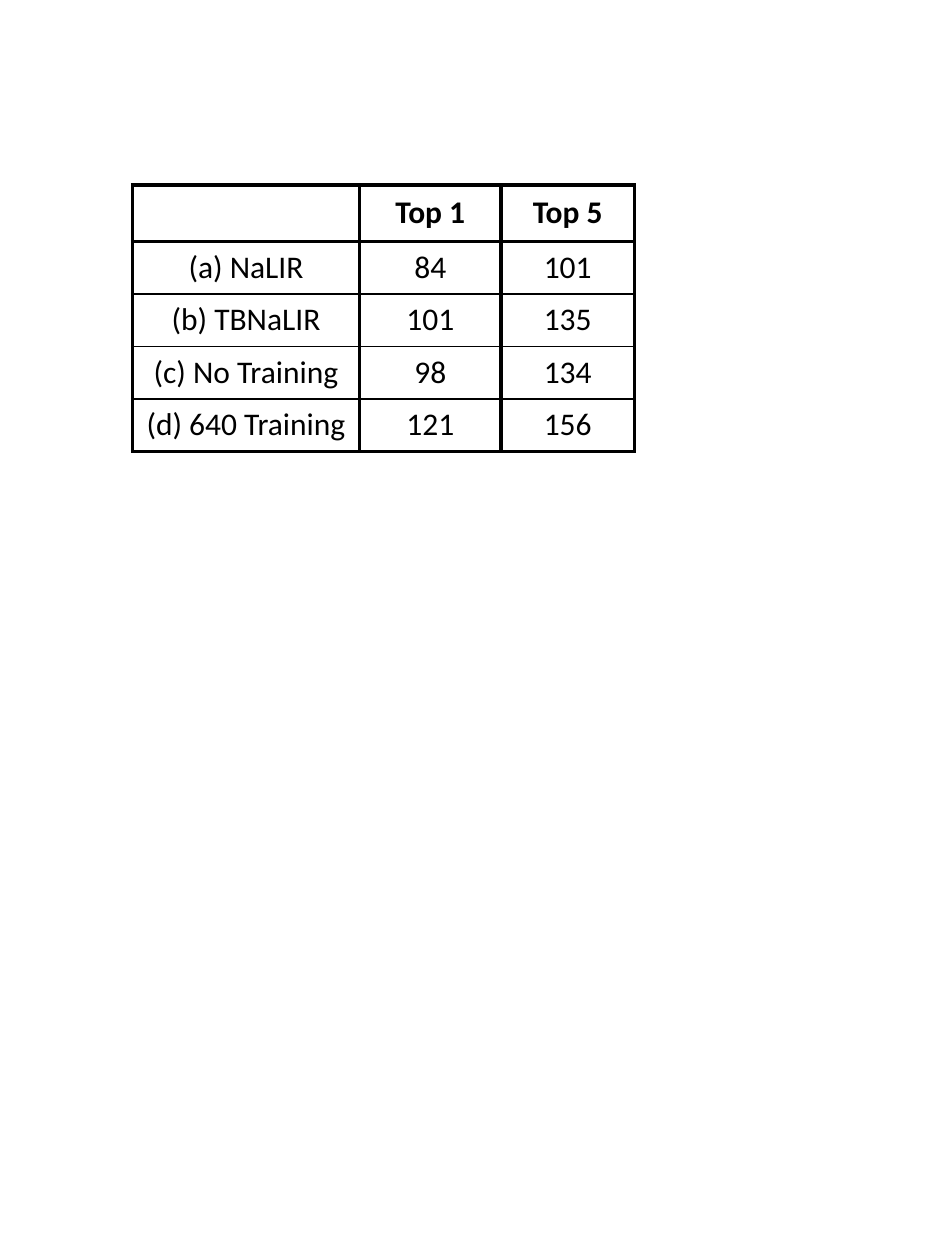
"""Build a slide with a table of results for four system settings."""
import pptx
import pptx.util
import pptx.dml.color
import pptx.enum.text
import pptx.oxml
from lxml import etree

Cm, Pt = pptx.util.Cm, pptx.util.Pt
COLORS = {"ink": "000000", "paper": "FFFFFF"}
THICK, THIN = 2.25, 1


def rgb(name):
    return pptx.dml.color.RGBColor.from_string(COLORS[name])


def write(tf, text, size=18, font="Calibri", color="ink", bold=False, spacing=0.9):
    p = tf.paragraphs[0]
    p.alignment = pptx.enum.text.PP_ALIGN.CENTER
    p.line_spacing = spacing
    p.font.size = Pt(size)
    if text:
        r = p.add_run()
        r.text = text
        r.font.name, r.font.size, r.font.bold = font, Pt(size), bold
        r.font.color.rgb = rgb(color)


class Deck:
    def __init__(self, width, height):
        self.prs = pptx.Presentation()
        self.prs.slide_width, self.prs.slide_height = Cm(width), Cm(height)
        self.s = self.prs.slides.add_slide(self.prs.slide_layouts[6])
        self.margin = Cm(0.18)

    def border(self, cell, side, width):
        tcPr = cell._tc.get_or_add_tcPr()
        ln = etree.SubElement(tcPr, pptx.oxml.ns.qn("a:ln" + side), w=str(Pt(width)))
        fill = etree.SubElement(ln, pptx.oxml.ns.qn("a:solidFill"))
        etree.SubElement(fill, pptx.oxml.ns.qn("a:srgbClr"), val=COLORS["ink"])

    def table(self, left, top, widths, heights, rows):
        sp = self.s.shapes.add_table(len(rows), len(widths), Cm(left), Cm(top),
                                     Cm(sum(widths)), Cm(sum(heights)))
        tbl = sp.table
        tbl.first_row = tbl.horz_banding = False
        for col, width in zip(tbl.columns, widths):
            col.width = Cm(width)
        for i, (row, height, texts) in enumerate(zip(tbl.rows, heights, rows)):
            row.height = Cm(height)
            above = THICK if i < 2 else THIN
            below = THICK if i in (0, len(rows) - 1) else THIN
            for cell, text in zip(row.cells, texts):
                cell.margin_left = cell.margin_right = self.margin
                cell.margin_top = cell.margin_bottom = self.margin
                cell.vertical_anchor = pptx.enum.text.MSO_ANCHOR.MIDDLE
                for side, width in zip("LRTB", (THICK, THICK, above, below)):
                    self.border(cell, side, width)
                cell.fill.solid()
                cell.fill.fore_color.rgb = rgb("paper")
                write(cell.text_frame, text, bold=i == 0)


deck = Deck(19.05, 25.4)
results = [
    ("", "Top 1", "Top 5"),
    ("(a) NaLIR", "84", "101"),
    ("(b) TBNaLIR", "101", "135"),
    ("(c) No Training", "98", "134"),
    ("(d) 640 Training", "121", "156"),
]
deck.table(2.67, 3.73, [4.58, 2.85, 2.69], [1.12] + [1.04] * 4, results)
deck.prs.save("out.pptx")
